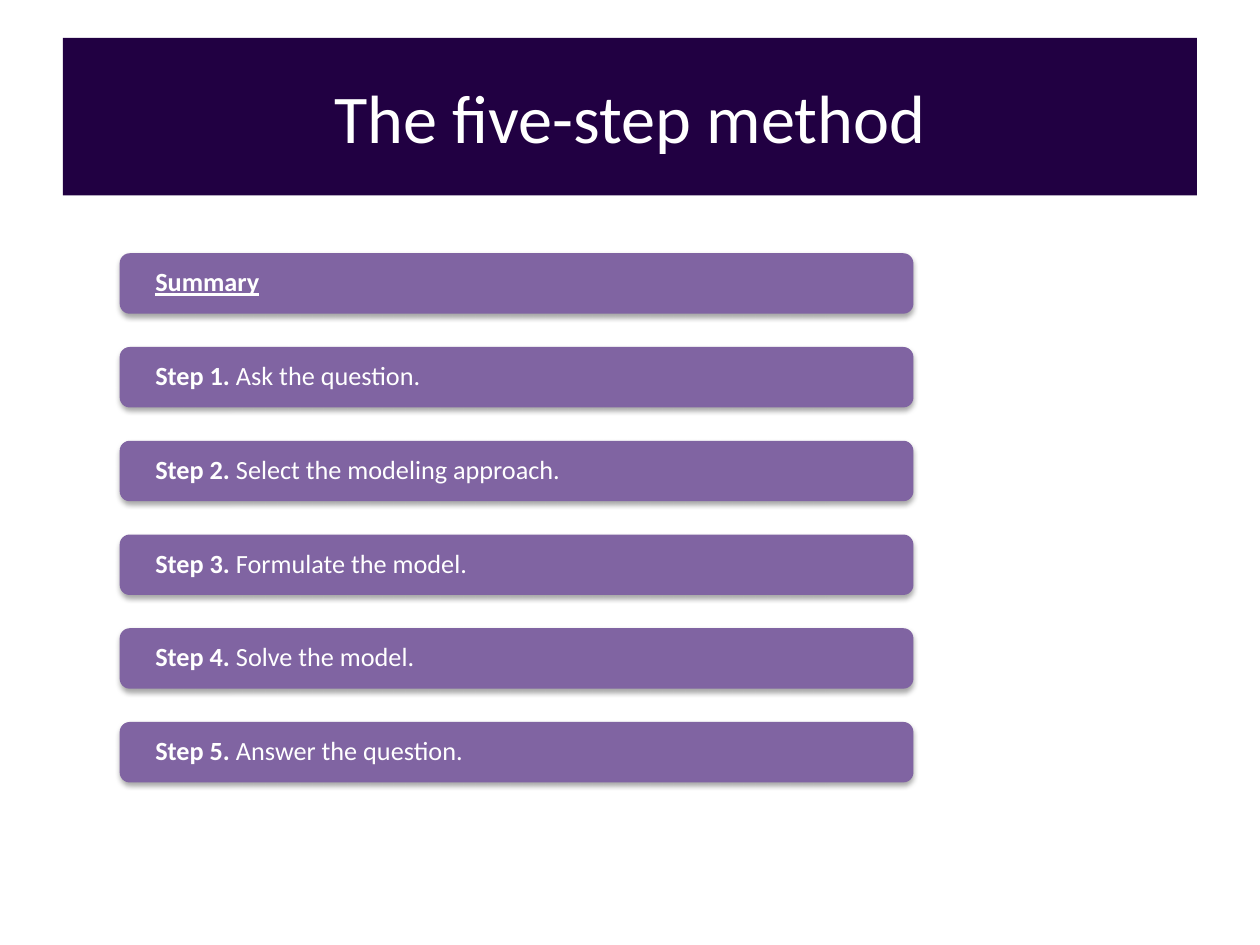
from dataclasses import dataclass

from lxml.etree import SubElement
from pptx import Presentation
from pptx.dml.color import RGBColor
from pptx.enum.shapes import MSO_SHAPE
from pptx.enum.text import MSO_ANCHOR, PP_ALIGN
from pptx.oxml.ns import qn
from pptx.util import Inches, Pt


@dataclass(frozen=True)
class Theme:
    font: str = "Calibri"
    banner: RGBColor = RGBColor(0x21, 0x00, 0x42)
    bar: RGBColor = RGBColor(0x80, 0x64, 0xA2)
    text: RGBColor = RGBColor(0xFF, 0xFF, 0xFF)
    shadow: str = "000000"
    title_size: Pt = Pt(39)
    step_size: Pt = Pt(15)


THEME = Theme()
STEPS = [
    "Ask the question.",
    "Select the modeling approach.",
    "Formulate the model.",
    "Solve the model.",
    "Answer the question.",
]
FIRST_TOP, LAST_TOP = 2.01, 5.73


def add_panel(slide, preset, left, top, width, height, fill, size, alignment):
    shape = slide.shapes.add_shape(
        preset, Inches(left), Inches(top), Inches(width), Inches(height)
    )
    shape.shadow.inherit = False
    shape.fill.solid()
    shape.fill.fore_color.rgb = fill
    shape.line.fill.background()
    frame = shape.text_frame
    frame.word_wrap = True
    frame.vertical_anchor = MSO_ANCHOR.MIDDLE
    paragraph = frame.paragraphs[0]
    paragraph.alignment = alignment
    paragraph.font.name = THEME.font
    paragraph.font.size = size
    paragraph.font.color.rgb = THEME.text
    return shape


def add_drop_shadow(shape):
    effects = shape._element.spPr.find(qn("a:effectLst"))
    shadow = SubElement(
        effects,
        qn("a:outerShdw"),
        blurRad=str(Pt(3.1)),
        dist=str(Pt(1.8)),
        dir="5400000",
        rotWithShape="0",
    )
    color = SubElement(shadow, qn("a:srgbClr"), val=THEME.shadow)
    SubElement(color, qn("a:alpha"), val="35000")


def add_title(slide, text):
    banner = add_panel(
        slide, MSO_SHAPE.RECTANGLE, 0.5, 0.3, 9, 1.25,
        THEME.banner, THEME.title_size, PP_ALIGN.CENTER,
    )
    banner.text_frame.paragraphs[0].add_run().text = text


def add_bar(slide, top, label, description=""):
    bar = add_panel(
        slide, MSO_SHAPE.ROUNDED_RECTANGLE, 0.95, top, 6.3, 0.48,
        THEME.bar, THEME.step_size, PP_ALIGN.LEFT,
    )
    add_drop_shadow(bar)
    frame = bar.text_frame
    frame.margin_left = frame.margin_right = Inches(0.26)
    frame.margin_top = frame.margin_bottom = 0
    paragraph = frame.paragraphs[0]
    paragraph.line_spacing = 0.9
    heading = paragraph.add_run()
    heading.text = label
    heading.font.bold = True
    if description:
        paragraph.add_run().text = description
    else:
        heading.font.underline = True


def main():
    presentation = Presentation()
    presentation.slide_width = Inches(10)
    presentation.slide_height = Inches(7.5)
    slide = presentation.slides.add_slide(presentation.slide_layouts[6])
    add_title(slide, "The five-step method")
    add_bar(slide, FIRST_TOP, "Summary")
    pitch = (LAST_TOP - FIRST_TOP) / len(STEPS)
    for number, description in enumerate(STEPS, start=1):
        add_bar(slide, FIRST_TOP + number * pitch, f"Step {number}. ", description)
    presentation.save("out.pptx")


if __name__ == "__main__":
    main()
